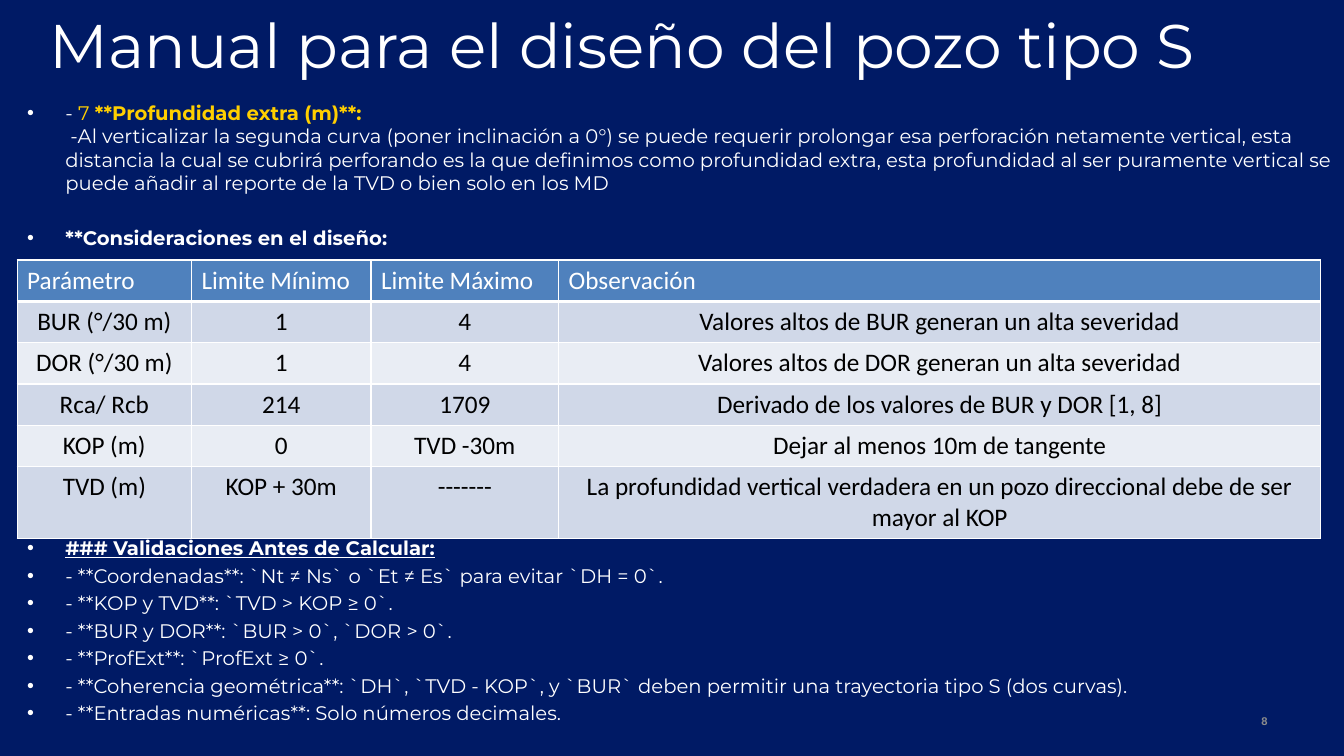
from pptx import Presentation
from pptx.dml.color import RGBColor
from pptx.enum.text import MSO_ANCHOR, PP_ALIGN
from pptx.oxml import parse_xml
from pptx.oxml.ns import nsdecls
from pptx.util import Inches, Pt

NAVY = RGBColor(0x00, 0x1A, 0x65)
WHITE = RGBColor(0xFF, 0xFF, 0xFF)
BLACK = RGBColor(0x00, 0x00, 0x00)
GOLD = RGBColor(0xFF, 0xCF, 0x00)
GRAY = RGBColor(0x8C, 0x8C, 0x8C)
BLUE = RGBColor(0x4F, 0x81, 0xBD)
BANDS = (RGBColor(0xD0, 0xD8, 0xE8), RGBColor(0xE9, 0xED, 0xF4))
LEFT, CENTER, RIGHT = PP_ALIGN.LEFT, PP_ALIGN.CENTER, PP_ALIGN.RIGHT
TOP, MIDDLE = MSO_ANCHOR.TOP, MSO_ANCHOR.MIDDLE

EXTRA = (
    "-Al verticalizar la segunda curva (poner inclinación a 0°) se puede requerir "
    "prolongar esa perforación netamente vertical, esta distancia la cual se cubrirá "
    "perforando es la que definimos como profundidad extra, esta profundidad al ser "
    "puramente vertical se puede añadir al reporte de la TVD o bien solo en los MD"
)
CHECKS = [
    "### Validaciones Antes de Calcular:",
    "- **Coordenadas**: `Nt ≠ Ns` o `Et ≠ Es` para evitar `DH = 0`.",
    "- **KOP y TVD**: `TVD > KOP ≥ 0`.",
    "- **BUR y DOR**: `BUR > 0`, `DOR > 0`.",
    "- **ProfExt**: `ProfExt ≥ 0`.",
    "- **Coherencia geométrica**: `DH`, `TVD - KOP`, y `BUR` deben permitir "
    "una trayectoria tipo S (dos curvas).",
    "- **Entradas numéricas**: Solo números decimales.",
]
LIMITS = [
    ("Parámetro", "Limite Mínimo", "Limite Máximo", "Observación"),
    ("BUR (°/30 m)", "1", "4", "Valores altos de BUR generan un alta severidad"),
    ("DOR (°/30 m)", "1", "4", "Valores altos de DOR generan un alta severidad"),
    ("Rca/ Rcb", "214", "1709", "Derivado de los valores de BUR y DOR [1, 8]"),
    ("KOP (m)", "0", "TVD -30m", "Dejar al menos 10m de tangente"),
    ("TVD (m)", "KOP + 30m", "-------",
     "La profundidad vertical verdadera en un pozo direccional debe de ser mayor al KOP"),
]
WIDTHS = (1.73, 1.78, 1.86, 7.56)
HEIGHTS = (0.41,) * 5 + (0.71,)


def style(run, size, color, bold=False, face="Montserrat"):
    run.font.size = Pt(size)
    run.font.name = face
    run.font.bold = bold
    run.font.color.rgb = color


def add_box(slide, left, top, width, height, anchor=TOP):
    box = slide.shapes.add_textbox(Inches(left), Inches(top), Inches(width), Inches(height))
    frame = box.text_frame
    frame.word_wrap = True
    frame.vertical_anchor = anchor
    return frame


def add_label(slide, text, place, size, color, align, bold=False, face="Montserrat"):
    frame = add_box(slide, *place, anchor=MIDDLE)
    frame.text = text
    para = frame.paragraphs[0]
    para.alignment = align
    style(para.runs[0], size, color, bold, face)


def add_bullet(para):
    props = para._p.get_or_add_pPr()
    props.set("marL", str(Inches(0.38)))
    props.set("indent", str(-Inches(0.38)))
    props.append(parse_xml(f'<a:buFont {nsdecls("a")} typeface="Arial"/>'))
    props.append(parse_xml(f'<a:buChar {nsdecls("a")} char="•"/>'))


def add_run(para, text, color=WHITE, bold=False):
    run = para.add_run()
    run.text = text
    style(run, 14, color, bold)


def add_intro(slide):
    frame = add_box(slide, 0.17, 0.95, 13.38, 1.6)
    depth = frame.paragraphs[0]
    add_bullet(depth)
    add_run(depth, "- ")
    add_run(depth, "7 ", GOLD)
    add_run(depth, "**Profundidad extra (m)**:", GOLD, True)
    depth.add_line_break()
    add_run(depth, " " + EXTRA)
    design = frame.add_paragraph()
    add_bullet(design)
    design.space_before = Pt(22)
    add_run(design, "**Consideraciones en el diseño:", bold=True)


def add_checks(slide):
    frame = add_box(slide, 0.17, 5.27, 13.38, 1.97)
    for i, text in enumerate(CHECKS):
        para = frame.add_paragraph() if i else frame.paragraphs[0]
        para.text = text
        add_bullet(para)
        if i:
            para.space_before = Pt(2.8)
        style(para.runs[0], 14, WHITE, i == 0)
        para.runs[0].font.underline = i == 0


def add_edges(cell, base):
    props = cell._tc.get_or_add_tcPr()
    for side, width in (("L", 1), ("R", 1), ("T", 1), ("B", base)):
        props.append(parse_xml(
            f'<a:ln{side} {nsdecls("a")} w="{Pt(width)}"><a:solidFill>'
            f'<a:srgbClr val="{WHITE}"/></a:solidFill></a:ln{side}>'))


def add_limits(slide):
    frame = slide.shapes.add_table(
        len(LIMITS), len(WIDTHS), Inches(0.17), Inches(2.58),
        Inches(sum(WIDTHS)), Inches(sum(HEIGHTS)))
    table = frame.table
    for col, width in zip(table.columns, WIDTHS):
        col.width = Inches(width)
    for r, (row, height) in enumerate(zip(LIMITS, HEIGHTS)):
        table.rows[r].height = Inches(height)
        for c, text in enumerate(row):
            cell = table.cell(r, c)
            cell.text = text
            add_edges(cell, 1 if r else 3)
            cell.fill.solid()
            cell.fill.fore_color.rgb = BANDS[(r - 1) % 2] if r else BLUE
            para = cell.text_frame.paragraphs[0]
            para.alignment = CENTER if r else LEFT
            style(para.runs[0], 18, BLACK if r else WHITE, face="Calibri")


def main():
    deck = Presentation()
    deck.slide_width, deck.slide_height = Inches(13.33), Inches(7.5)
    slide = deck.slides.add_slide(deck.slide_layouts[6])
    slide.background.fill.solid()
    slide.background.fill.fore_color.rgb = NAVY
    add_label(slide, "8", (9.56, 6.95, 3.11, 0.4), 8, GRAY, RIGHT, True, "Arial")
    add_intro(slide)
    add_checks(slide)
    add_label(slide, "Manual para el diseño del pozo tipo S",
              (0, 0, 12.35, 0.87), 44, WHITE, CENTER)
    add_limits(slide)
    deck.save("out.pptx")


if __name__ == "__main__":
    main()
